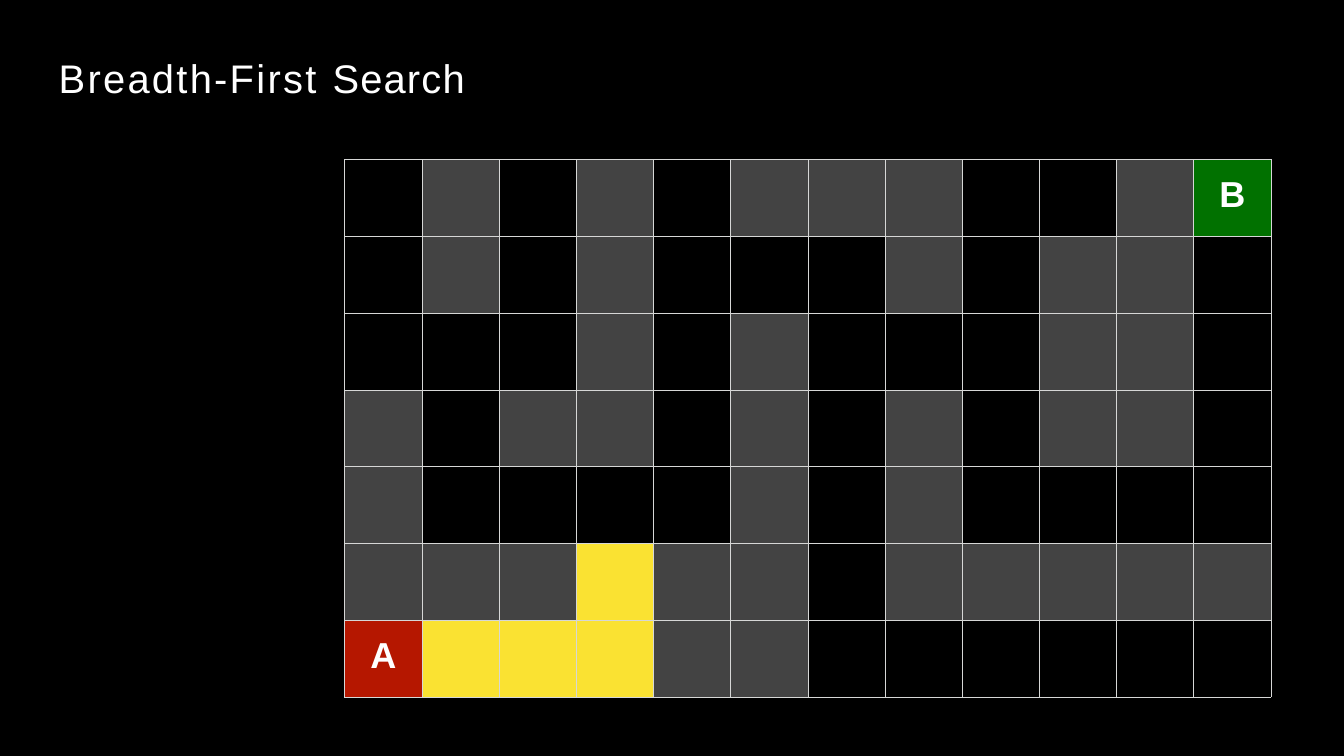
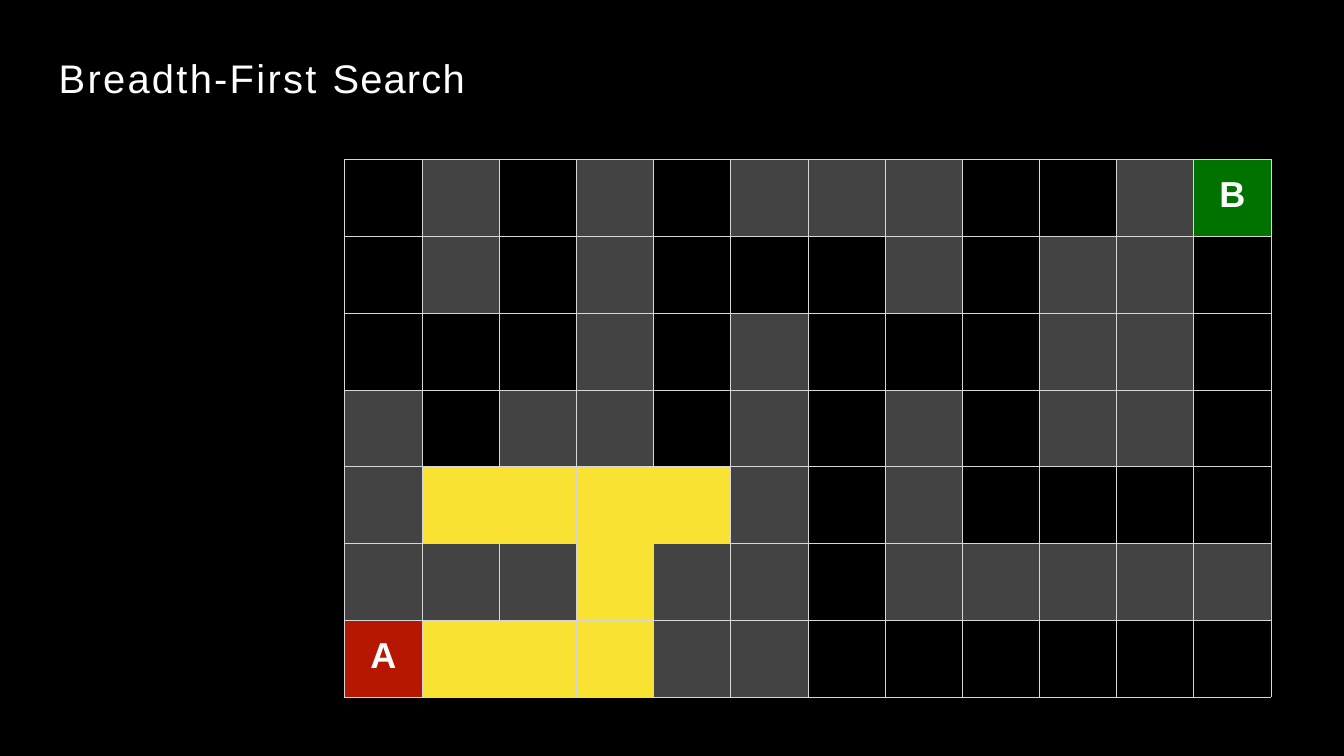
"""Build two stages of a breadth-first search through a maze."""

import dataclasses

import lxml.etree
import pptx
import pptx.dml.color
import pptx.enum.text
import pptx.oxml.ns
import pptx.slide
import pptx.table
import pptx.text.text
import pptx.util

Pt = pptx.util.Pt
RGBColor = pptx.dml.color.RGBColor

BLACK = RGBColor(0x00, 0x00, 0x00)
WHITE = RGBColor(0xFF, 0xFF, 0xFF)
WALL = RGBColor(0x43, 0x43, 0x43)
EXPLORED = RGBColor(0xFA, 0xE2, 0x32)
START = RGBColor(0xB5, 0x17, 0x00)
GOAL = RGBColor(0x01, 0x71, 0x00)
GRID_LINE = RGBColor(0xD6, 0xD7, 0xD6)

FONT = "Arial"
PAGE_WIDTH, PAGE_HEIGHT = Pt(1583.28), Pt(890.64)
MAZE_LEFT, MAZE_TOP = Pt(406.08), Pt(187.92)
COLUMN_WIDTH, ROW_HEIGHT = Pt(90.95), Pt(90.5)
TITLE_ONLY = 5

MAZE = (
    ".#.#.###..#B",
    ".#.#...#.##.",
    "...#.#...##.",
    "#.##.#.#.##.",
    "#....#.#....",
    "###.##.#####",
    "A...##......",
)
FILLS = {".": BLACK, "#": WALL, "A": START, "B": GOAL}


@dataclasses.dataclass(frozen=True)
class Stage:
    """One step of the search, with explored cells as (row, column)."""

    explored: frozenset[tuple[int, int]]


FIRST_STAGE = Stage(frozenset({(6, 1), (6, 2), (6, 3), (5, 3)}))
SECOND_STAGE = Stage(FIRST_STAGE.explored | {(4, column) for column in range(1, 5)})


def write_span(
    para: pptx.text.text._Paragraph,
    text: str,
    *,
    size: float,
    bold: bool = False,
    spacing: float = 0,
) -> None:
    """Add a white span of text to a paragraph."""
    span = para.add_run()
    span.text = text
    span.font.name = FONT
    span.font.size = Pt(size)
    span.font.bold = bold
    span.font.color.rgb = WHITE
    if spacing:
        span.font._element.set("spc", str(round(spacing * 100)))


def add_title(page: pptx.slide.Slide) -> None:
    """Place and write the title."""
    box = page.shapes.title
    box.left, box.top, box.width, box.height = Pt(69.12), Pt(61.92), Pt(480.96), Pt(58.32)
    frame = box.text_frame
    frame.margin_left = frame.margin_right = frame.margin_bottom = Pt(0)
    frame.margin_top = Pt(1)
    frame.word_wrap = True
    frame.vertical_anchor = pptx.enum.text.MSO_ANCHOR.TOP
    frame.auto_size = pptx.enum.text.MSO_AUTO_SIZE.SHAPE_TO_FIT_TEXT
    para = frame.paragraphs[0]
    para.alignment = pptx.enum.text.PP_ALIGN.LEFT
    para.space_before = Pt(1)
    write_span(para, "Breadth-First ", size=47, spacing=2.7)
    write_span(para, "Search", size=47, spacing=1.4)


def draw_borders(cell: pptx.table._Cell) -> None:
    """Draw a one-point line on each side of a cell."""
    properties = cell._tc.get_or_add_tcPr()
    name = pptx.oxml.ns.qn
    for side in ("a:lnL", "a:lnR", "a:lnT", "a:lnB"):
        line = lxml.etree.SubElement(properties, name(side), w=str(Pt(1)))
        fill = lxml.etree.SubElement(line, name("a:solidFill"))
        lxml.etree.SubElement(fill, name("a:srgbClr"), val=str(GRID_LINE))


def format_cell(cell: pptx.table._Cell, symbol: str, fill: RGBColor) -> None:
    """Colour a maze cell and write its letter, if it has one."""
    draw_borders(cell)
    cell.fill.solid()
    cell.fill.fore_color.rgb = fill
    cell.margin_left = cell.margin_right = cell.margin_bottom = Pt(0)
    cell.margin_top = Pt(18.5)
    if symbol.isalpha():
        para = cell.text_frame.paragraphs[0]
        para.alignment = pptx.enum.text.PP_ALIGN.CENTER
        write_span(para, symbol, size=42.5, bold=True)


def add_maze(page: pptx.slide.Slide, stage: Stage) -> None:
    """Draw the maze as a table with the explored cells of a stage."""
    rows, columns = len(MAZE), len(MAZE[0])
    table = page.shapes.add_table(
        rows, columns, MAZE_LEFT, MAZE_TOP, columns * COLUMN_WIDTH, rows * ROW_HEIGHT
    ).table
    table.first_row = table.horz_banding = False
    for row, symbols in enumerate(MAZE):
        for column, symbol in enumerate(symbols):
            fill = EXPLORED if (row, column) in stage.explored else FILLS[symbol]
            format_cell(table.cell(row, column), symbol, fill)


def main() -> None:
    """Build and save the deck."""
    deck = pptx.Presentation()
    deck.slide_width, deck.slide_height = PAGE_WIDTH, PAGE_HEIGHT
    background = deck.slide_master.background.fill
    background.solid()
    background.fore_color.rgb = BLACK
    for stage in (FIRST_STAGE, SECOND_STAGE):
        page = deck.slides.add_slide(deck.slide_layouts[TITLE_ONLY])
        add_title(page)
        add_maze(page, stage)
    deck.save("out.pptx")


if __name__ == "__main__":
    main()
